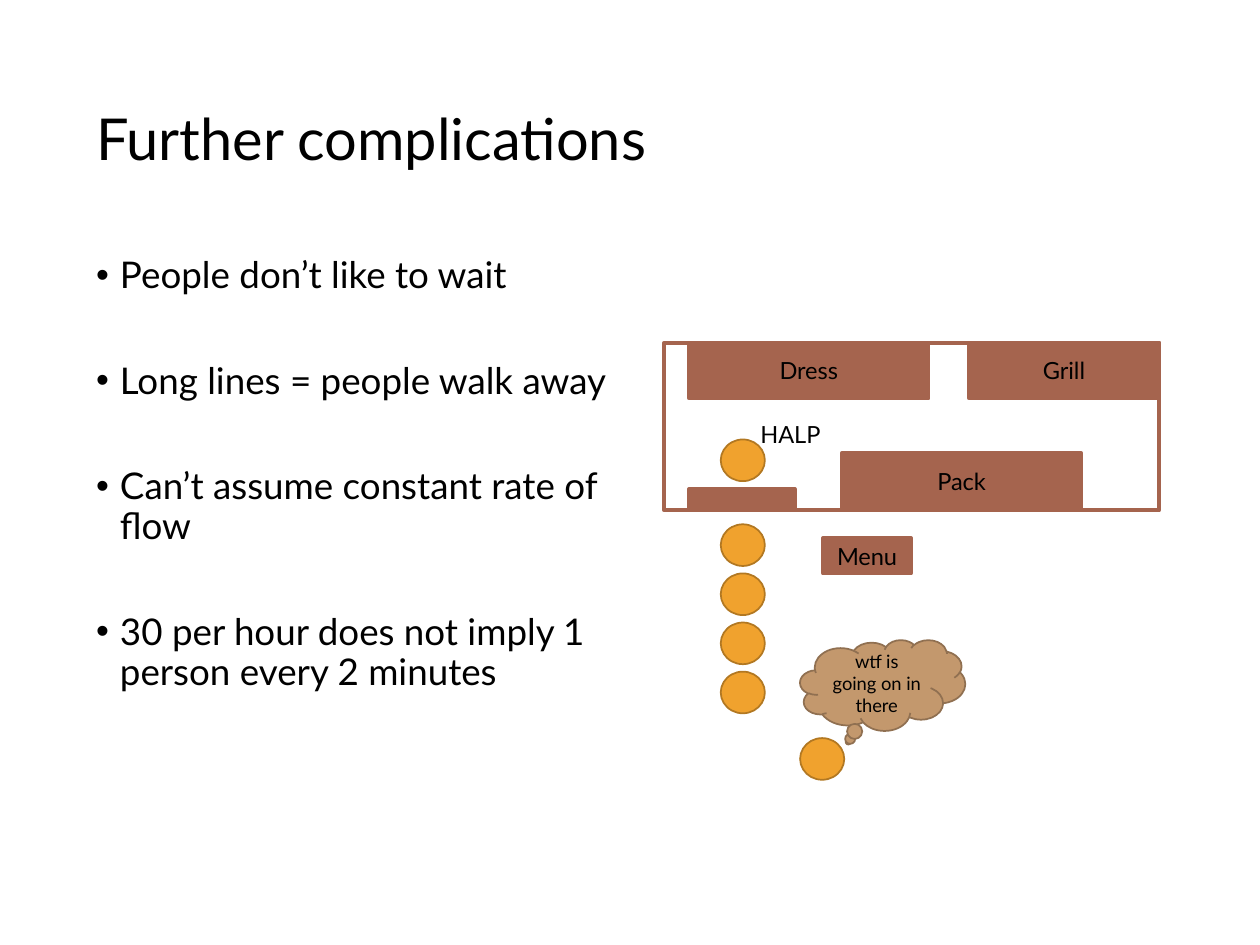
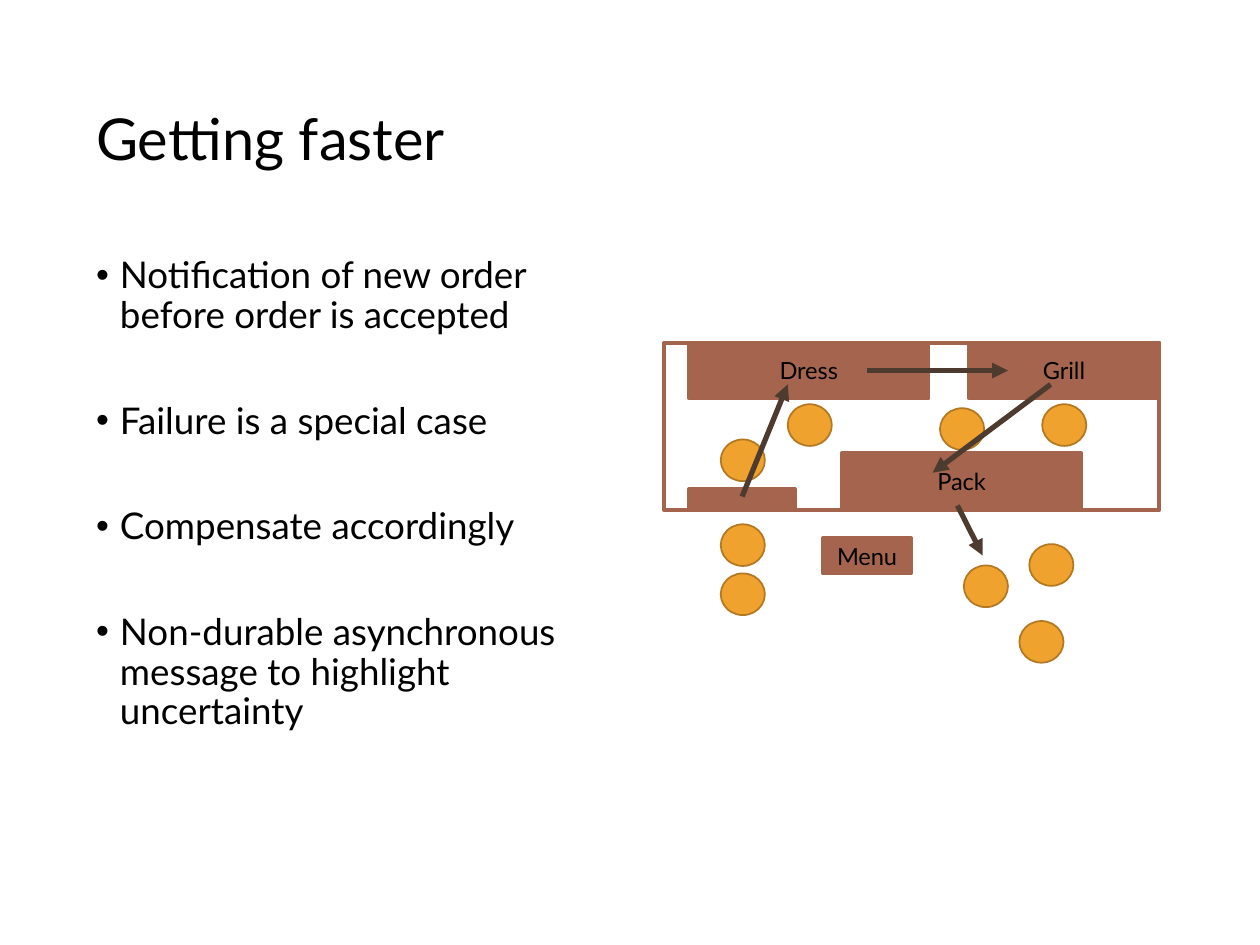
from pptx import Presentation, util as u
from pptx.dml.color import RGBColor
from pptx.enum import shapes, text
from pptx.oxml.ns import qn
from lxml import etree

FONT = "Lato"
BLACK, WHITE = "000000", "FFFFFF"
BRICK, AMBER, AMBER_EDGE = "A5644E", "F0A22E", "B27822"
TAN, TAN_EDGE, ARROW = "C3986D", "907051", "4E3B30"
LEFT = 1.75
PERSON = (0.89, 0.84)
QUEUE_X, QUEUE_Y, QUEUE_STEP = 14.53, 10.57, 0.99
SHAPE = shapes.MSO_SHAPE


def rgb(value):
    return RGBColor.from_string(value)


def cm(*lengths):
    return [u.Cm(length) for length in lengths]


def set_frame(tf, anchor, wrap=True):
    tf.word_wrap = wrap
    tf.vertical_anchor = anchor
    tf.margin_left = tf.margin_right = u.Cm(0.19)
    tf.margin_top = tf.margin_bottom = u.Cm(0.1)


def add_run(p, words, size):
    r = p.add_run()
    r.text = words
    r.font.name = FONT
    r.font.size = u.Pt(size)
    r.font.color.rgb = rgb(BLACK)


def add_text(s, box, anchor=text.MSO_ANCHOR.TOP, wrap=True):
    tf = s.shapes.add_textbox(*cm(*box)).text_frame
    set_frame(tf, anchor, wrap)
    return tf


def add_title(s, words):
    tf = add_text(s, (LEFT, 1.02, 21.89, 3.68), text.MSO_ANCHOR.MIDDLE)
    p = tf.paragraphs[0]
    p.line_spacing = 0.9
    add_run(p, words, 33)


def add_bullets(s, items):
    tf = add_text(s, (LEFT, 5.08, 10.8, 12.09))
    for i, item in enumerate(items):
        p = tf.paragraphs[0] if i == 0 else tf.add_paragraph()
        pPr = p._p.get_or_add_pPr()
        pPr.set("marL", str(u.Cm(0.48)))
        pPr.set("indent", str(-u.Cm(0.48)))
        etree.SubElement(pPr, qn("a:buFont")).set("typeface", "Arial")
        etree.SubElement(pPr, qn("a:buChar")).set("char", "•")
        p.line_spacing = 0.9
        p.space_before = u.Pt(37.7 if i else 0)
        add_run(p, item, 21)


def add_shape(s, kind, box, fill, edge, weight, words="", size=13.5):
    sp = s.shapes.add_shape(kind, *cm(*box))
    sp.shadow.inherit = False
    sp.fill.solid()
    sp.fill.fore_color.rgb = rgb(fill)
    sp.line.color.rgb = rgb(edge)
    sp.line.width = u.Pt(weight)
    if words:
        set_frame(sp.text_frame, text.MSO_ANCHOR.MIDDLE)
        p = sp.text_frame.paragraphs[0]
        p.alignment = text.PP_ALIGN.CENTER
        add_run(p, words, size)


def add_station(s, box, words="", fill=BRICK):
    add_shape(s, SHAPE.RECTANGLE, box, fill, BRICK, 2.25, words)


def add_person(s, x, y):
    add_shape(s, SHAPE.OVAL, (x, y, *PERSON), AMBER, AMBER_EDGE, 1)


def add_arrow(s, start, end):
    c = s.shapes.add_connector(shapes.MSO_CONNECTOR.STRAIGHT, *cm(*start, *end))
    c.line.color.rgb = rgb(ARROW)
    c.line.width = u.Pt(3)
    etree.SubElement(c.line._get_or_add_ln(), qn("a:tailEnd")).set("type", "triangle")
    etree.SubElement(c._element.spPr, qn("a:effectLst"))


def add_truck(s, queue_length):
    add_station(s, (13.39, 6.91, 9.98, 3.38), fill=WHITE)
    add_station(s, (13.89, 9.86, 2.13, 0.43))
    add_station(s, (13.89, 6.91, 4.83, 1.12), "Dress")
    add_station(s, (16.97, 9.14, 4.83, 1.12), "Pack")
    add_station(s, (19.53, 6.91, 3.84, 1.12), "Grill")
    add_station(s, (16.59, 10.85, 1.78, 0.71), "Menu")
    # Order taker, then the line outside
    add_person(s, QUEUE_X, 8.86)
    for i in range(queue_length):
        add_person(s, QUEUE_X, QUEUE_Y + i * QUEUE_STEP)


def add_slide(prs, title, bullets, queue_length):
    s = prs.slides.add_slide(prs.slide_layouts[6])
    add_title(s, title)
    add_bullets(s, bullets)
    add_truck(s, queue_length)
    return s


def main():
    prs = Presentation()
    prs.slide_width, prs.slide_height = cm(25.4, 19.05)

    # Long line and an overwhelmed order taker
    s = add_slide(prs, "Further complications", [
        "People don’t like to wait",
        "Long lines = people walk away",
        "Can’t assume constant rate of flow",
        "30 per hour does not imply 1 person every 2 minutes",
    ], queue_length=4)
    add_person(s, 16.13, 14.88)
    add_shape(s, SHAPE.CLOUD_CALLOUT, (16.13, 12.9, 3.33, 1.83), TAN, TAN_EDGE, 1,
              "wtf is going on in there", 10.5)
    tf = add_text(s, (15.14, 8.36, 1.78, 0.84), wrap=False)
    tf.auto_size = text.MSO_AUTO_SIZE.SHAPE_TO_FIT_TEXT
    add_run(tf.paragraphs[0], "HALP", 13.5)

    # Staffed stations and the path of an order
    s = add_slide(prs, "Getting faster", [
        "Notification of new order before order is accepted",
        "Failure is a special case",
        "Compensate accordingly",
        "Non-durable asynchronous message to highlight uncertainty",
    ], queue_length=2)
    staff = [(15.88, 8.15), (21.01, 8.15), (18.95, 8.23)]
    waiting = [(20.75, 10.97), (19.43, 11.4), (20.55, 12.52)]
    for x, y in staff + waiting:
        add_person(s, x, y)
    for start, end in [
        ((14.96, 10.01), (15.88, 7.75)),
        ((17.48, 7.47), (20.32, 7.47)),
        ((21.18, 7.75), (18.8, 9.53)),
        ((19.3, 10.19), (19.81, 11.2)),
    ]:
        add_arrow(s, start, end)

    prs.save("out.pptx")


if __name__ == "__main__":
    main()
